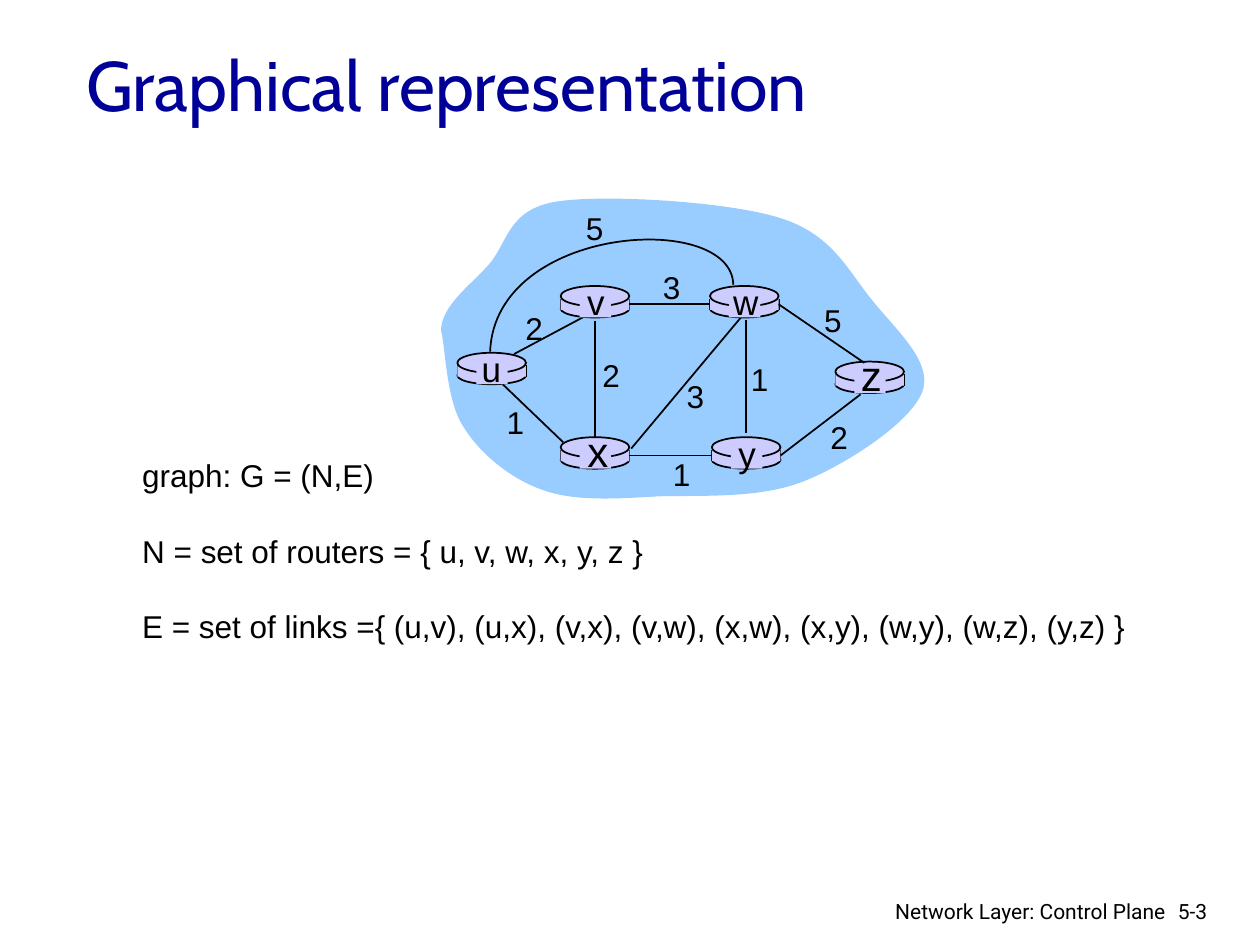
from pptx import Presentation
from pptx.dml.color import RGBColor
from pptx.enum.shapes import MSO_CONNECTOR as LINK, MSO_SHAPE as SHAPE
from pptx.enum.text import MSO_ANCHOR as ANCHOR, MSO_AUTO_SIZE as AUTO, PP_ALIGN as ALIGN
from pptx.oxml.ns import qn
from pptx.util import Inches, Pt
from lxml.etree import SubElement

BLACK = RGBColor(0x00, 0x00, 0x00)
NAVY = RGBColor(0x00, 0x00, 0x99)
SKY = RGBColor(0x99, 0xCC, 0xFF)
LILAC = RGBColor(0xCC, 0xCC, 0xFF)

# The slide is a grid of 100 columns by 75 rows of square cells
SLIDE_W, SLIDE_H = Inches(10), Inches(7.5)
CELL = SLIDE_W / 100
LEFT, RIGHT = 1, 3  # connection sites of a rectangle

# Routers: column and row of the top disc, centre of the name, size of the name
DISC_W, DISC_H = 5.45, 1.6
ROUTERS = {
    "u": (36.3, 28.0, 39.0, 20), "y": (56.5, 34.7, 59.3, 20), "x": (44.5, 34.7, 47.45, 24),
    "w": (56.35, 22.7, 59.2, 20), "v": (44.5, 22.7, 47.3, 20), "z": (66.3, 28.7, 69.15, 24),
}

# Links: start, end; an end is a point or a router with a side
LINKS = [
    ((59.2, 25.4), (59.2, 34.4)),      # w-y
    ((47.2, 25.5), (47.2, 34.8)),      # v-x
    ((50.1, 35.6), (58.8, 25.2)),      # x-w
    (("y", RIGHT), (68.3, 31.3)),      # y-z
    (("y", LEFT), ("x", RIGHT)),       # x-y
    ((44.7, 35.1), (39.9, 30.5)),      # u-x
    (("w", LEFT), ("v", RIGHT)),       # v-w
    (("w", RIGHT), (68.6, 28.8)),      # w-z
]

# Link costs: value, centre column and row
COSTS = [
    ("2", 42.4, 26.0), ("2", 48.5, 29.8), ("1", 40.9, 33.5), ("3", 55.2, 31.4),
    ("1", 54.1, 37.6), ("1", 60.3, 30.1), ("2", 66.6, 34.7), ("5", 66.1, 25.4),
    ("3", 53.3, 22.8), ("5", 47.2, 18.1),
]
LABEL_BOX = {18: (3.4, 4.0), 20: (4.0, 4.3), 24: (3.7, 5.0)}  # by text size

# Bezier outlines: start point, then (control, control, end) for each segment
CLOUD = ((35.0, 26.2), [
    ((35.1, 24.2), (37.3, 22.7), (38.8, 21.0)), ((40.3, 19.3), (40.3, 16.6), (44.2, 16.0)),
    ((48.0, 15.4), (57.8, 16.0), (61.9, 17.3)), ((66.1, 18.6), (67.3, 21.5), (69.2, 23.8)),
    ((71.0, 26.1), (74.1, 28.7), (73.2, 31.1)), ((72.3, 33.5), (67.3, 36.8), (63.8, 38.2)),
    ((60.3, 39.6), (55.7, 39.3), (52.2, 39.4)), ((48.8, 39.6), (45.6, 39.8), (43.1, 38.9)),
    ((40.5, 38.0), (38.1, 36.0), (36.8, 33.9)), ((35.4, 31.8), (35.4, 27.8), (35.0, 26.2)),
])
U_W_ARC = ((58.2, 22.6), [((58.1, 16.7), (39.3, 17.8), (38.9, 27.9))])

GRAPH_LINES = [
    "graph: G = (N,E)",
    "N = set of routers = { u, v, w, x, y, z }",
    "E = set of links ={ (u,v), (u,x), (v,x), (v,w), (x,w), (x,y), (w,y), (w,z), (y,z) }",
]


def cells(*counts):
    return [round(count * CELL) for count in counts]


def apply(target, formats):
    for name, value in formats.items():
        setattr(target, name, value)


def place_at(shape, *place):
    apply(shape, dict(zip(("left", "top", "width", "height"), cells(*place))))


def paint(shape, fill=None, line=None):
    shape.shadow.inherit = False
    if fill is None:
        shape.fill.background()
    else:
        shape.fill.solid()
        shape.fill.fore_color.rgb = fill
    if line is None:
        shape.line.fill.background()
    else:
        shape.line.color.rgb = line
        shape.line.width = Pt(1)


def write(frame, lines, size, font, color=BLACK, align=ALIGN.LEFT, gap=0):
    for index, line in enumerate(lines):
        paragraph = frame.paragraphs[0] if index == 0 else frame.add_paragraph()
        paragraph.text = line
        paragraph.alignment = align
        if index:
            paragraph.space_before = Pt(gap)
        apply(paragraph.font, {"name": font, "size": Pt(size)})
        paragraph.font.color.rgb = color


def add_text(slide, place, lines, size, font="Arial", wrap=False, **style):
    frame = slide.shapes.add_textbox(*cells(*place)).text_frame
    apply(frame, {"word_wrap": wrap, "auto_size": AUTO.NONE if wrap else AUTO.SHAPE_TO_FIT_TEXT})
    write(frame, lines, size, font, **style)


def add_label(slide, text, center, middle, size):
    width, height = LABEL_BOX[size]
    add_text(slide, (center - width / 2, middle - height / 2, width, height), [text], size,
             align=ALIGN.CENTER)


def curve_bounds(start, segments, steps=40):
    """Left, top, right and bottom of a chain of cubic curves."""
    points, origin = [start], start
    for segment in segments:
        knots = (origin, *segment)
        for t in (step / steps for step in range(1, steps + 1)):
            weights = ((1 - t) ** 3, 3 * t * (1 - t) ** 2, 3 * t ** 2 * (1 - t), t ** 3)
            points.append([sum(w * knot[axis] for w, knot in zip(weights, knots))
                           for axis in (0, 1)])
        origin = segment[-1]
    columns, rows = zip(*points)
    return min(columns), min(rows), max(columns), max(rows)


def add_curve(slide, start, segments, closed=False, **colors):
    left, top, right, bottom = curve_bounds(start, segments)
    builder = slide.shapes.build_freeform(*cells(*start))
    builder.add_line_segments([cells(*segment[-1]) for segment in segments], close=closed)
    curve = builder.convert_to_shape()
    place_at(curve, left, top, right - left, bottom - top)

    # Turn the straight segments into cubic ones
    outline = curve._element.find(".//" + qn("a:path"))
    for name, length in zip("wh", cells(right - left, bottom - top)):
        outline.set(name, str(length))
    for child in list(outline):
        outline.remove(child)
    for tag, knots in [("a:moveTo", [start])] + [("a:cubicBezTo", s) for s in segments]:
        move = SubElement(outline, qn(tag))
        for col, row in knots:
            x, y = cells(col - left, row - top)
            SubElement(move, qn("a:pt"), x=str(x), y=str(y))
    if closed:
        SubElement(outline, qn("a:close"))
    paint(curve, **colors)


def add_preset(slide, preset, place, **colors):
    shape = slide.shapes.add_shape(preset, *cells(*place))
    paint(shape, **colors)
    return shape


def add_line(slide, start, end):
    line = slide.shapes.add_connector(LINK.STRAIGHT, *cells(*start, *end))
    line.line.color.rgb = BLACK
    line.line.width = Pt(1)
    SubElement(line._element.spPr, qn("a:effectLst"))
    return line


def add_router(slide, col, row):
    """Draw the cylinder and return its body band."""
    add_preset(slide, SHAPE.OVAL, (col, row + 1.1, DISC_W, 1.4), fill=LILAC, line=BLACK)
    for side in (col, col + DISC_W):
        add_line(slide, (side, row + 1), (side, row + 1.9))
    band = add_preset(slide, SHAPE.RECTANGLE, (col, row + 1, DISC_W, 0.9), fill=LILAC)
    add_preset(slide, SHAPE.OVAL, (col, row, DISC_W, DISC_H), fill=LILAC, line=BLACK)
    return band


def add_link(slide, bands, *stops):
    joined = [isinstance(stop[0], str) for stop in stops]
    link = add_line(slide, *((0, 0) if join else stop for join, stop in zip(joined, stops)))
    for join, stop, connect in zip(joined, stops, (link.begin_connect, link.end_connect)):
        if join:
            connect(bands[stop[0]], stop[1])


def add_network(slide):
    add_curve(slide, *CLOUD, closed=True, fill=SKY)
    add_line(slide, (40.8, 28.1), (46.8, 24.9))  # u-v passes behind the routers
    bands = {name: add_router(slide, *place[:2]) for name, place in ROUTERS.items()}
    for stops in LINKS:
        add_link(slide, bands, *stops)
    add_curve(slide, *U_W_ARC, line=BLACK)
    for name, (col, row, center, size) in ROUTERS.items():
        add_preset(slide, SHAPE.RECTANGLE, (col + 1.5, row + 0.2, 2.5, 2.3), fill=LILAC)
        add_label(slide, name, center, row + (1.25 if size == 20 else 1.05), size)
    for cost in COSTS:
        add_label(slide, *cost, 18)


def main():
    deck = Presentation()
    apply(deck, {"slide_width": SLIDE_W, "slide_height": SLIDE_H})
    slide = deck.slides.add_slide(deck.slide_layouts[5])

    add_network(slide)
    add_text(slide, (10.3, 35.7, 80.9, 16), GRAPH_LINES, 18, gap=21.6)

    # Title
    title = slide.shapes.title
    place_at(title, 5.85, 2.3, 85, 8.7)
    apply(title.text_frame, {"vertical_anchor": ANCHOR.MIDDLE, "auto_size": AUTO.NONE})
    write(title.text_frame, ["Graphical representation"], 40, "Cabin", color=NAVY)

    # Footer
    add_text(slide, (92.5, 70.8, 6, 3), ["5-3"], 12, "Roboto", wrap=True)
    add_text(slide, (69.7, 70.8, 23.8, 2.6), ["Network Layer: Control Plane"], 12, "Roboto",
             wrap=True, align=ALIGN.RIGHT)

    deck.save("out.pptx")


if __name__ == "__main__":
    main()
